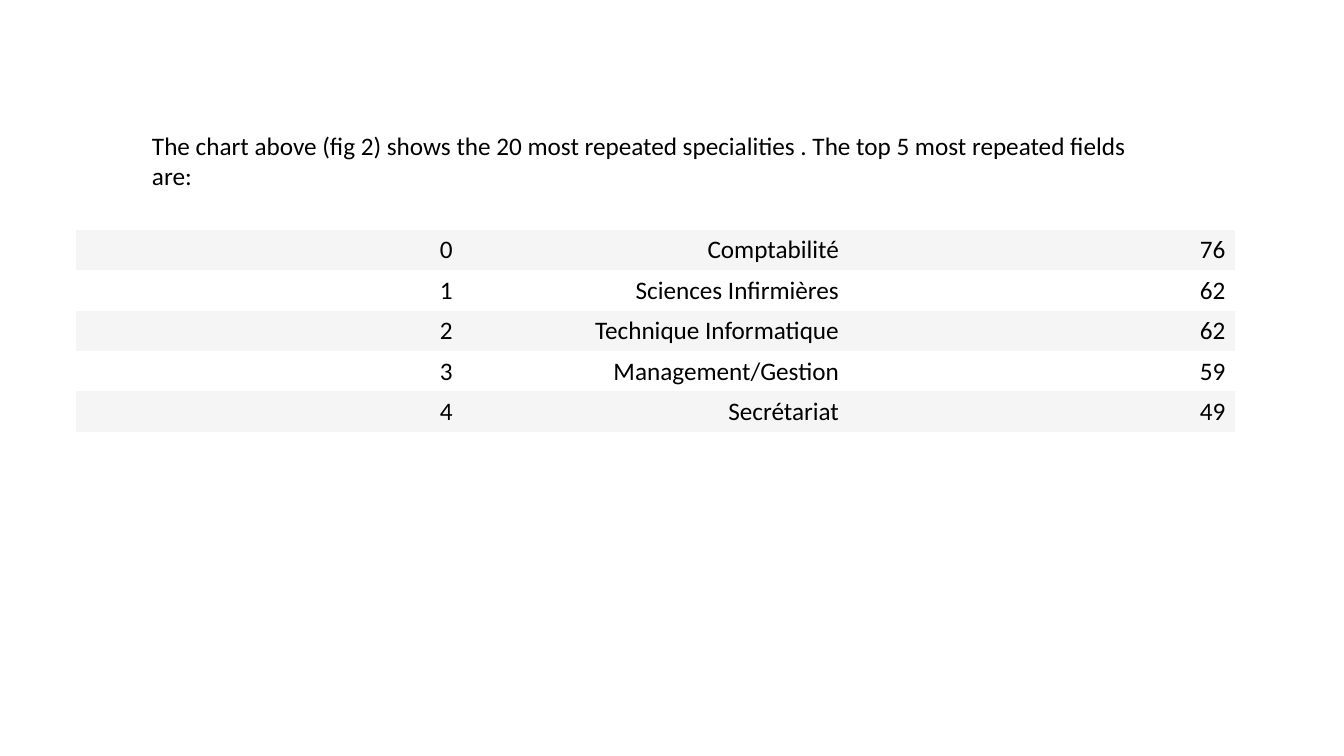
from pptx import Presentation
from pptx.dml.color import RGBColor
from pptx.enum import text
from pptx.oxml import ns
from pptx.util import Pt

INTRO = ("The chart above (fig 2) shows the 20 most repeated specialities . "
         "The top 5 most repeated fields are:")
FIELDS = [
    ("Comptabilité", 76),
    ("Sciences Infirmières", 62),
    ("Technique Informatique", 62),
    ("Management/Gestion", 59),
    ("Secrétariat", 49),
]
THEME = {
    "font": "Calibri",
    "size": 18,
    "ink": "000000",
    "bands": ("F5F5F5", "FFFFFF"),
    "plain": "{2D5ABB26-0587-4C30-8999-92F81FD0307C}",
}
PAGE = (960, 540)
INTRO_BOX = (101.5, 89.3, 734.4, 51.1)
LEFT, TOP, WIDE, ROW = 54.5, 164.2, 828, 28.8


def write(frame, words, align):
    frame.text = words
    for par in frame.paragraphs:
        par.alignment = align
        for run in par.runs:
            run.font.name = THEME["font"]
            run.font.size = Pt(THEME["size"])
            run.font.color.rgb = RGBColor.from_string(THEME["ink"])


def add_intro(slide):
    box = slide.shapes.add_textbox(*map(Pt, INTRO_BOX))
    box.text_frame.word_wrap = True
    write(box.text_frame, INTRO, text.PP_ALIGN.LEFT)


def add_fields(slide):
    rows = [(rank, *field) for rank, field in enumerate(FIELDS)]
    area = (LEFT, TOP, WIDE, ROW * len(rows))
    frame = slide.shapes.add_table(len(rows), len(rows[0]), *map(Pt, area))
    table = frame.table
    table.first_row = table.horz_banding = False
    for style in frame.element.iter(ns.qn("a:tableStyleId")):
        style.text = THEME["plain"]
    for r, row in enumerate(rows):
        band = THEME["bands"][r % 2]
        for c, value in enumerate(row):
            cell = table.cell(r, c)
            cell.fill.solid()
            cell.fill.fore_color.rgb = RGBColor.from_string(band)
            cell.vertical_anchor = text.MSO_ANCHOR.MIDDLE
            write(cell.text_frame, str(value), text.PP_ALIGN.RIGHT)


deck = Presentation()
deck.slide_width, deck.slide_height = map(Pt, PAGE)
slide = deck.slides.add_slide(deck.slide_layouts[6])
add_intro(slide)
add_fields(slide)
deck.save("out.pptx")
